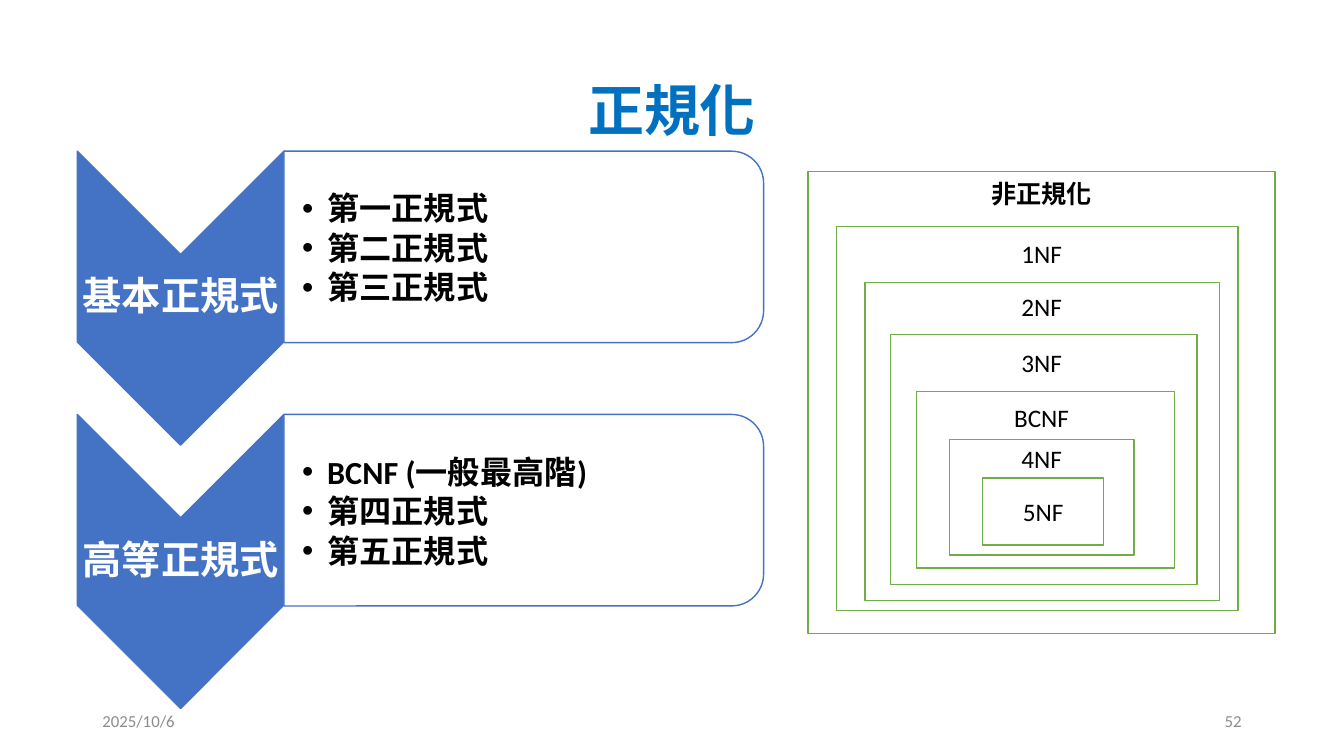
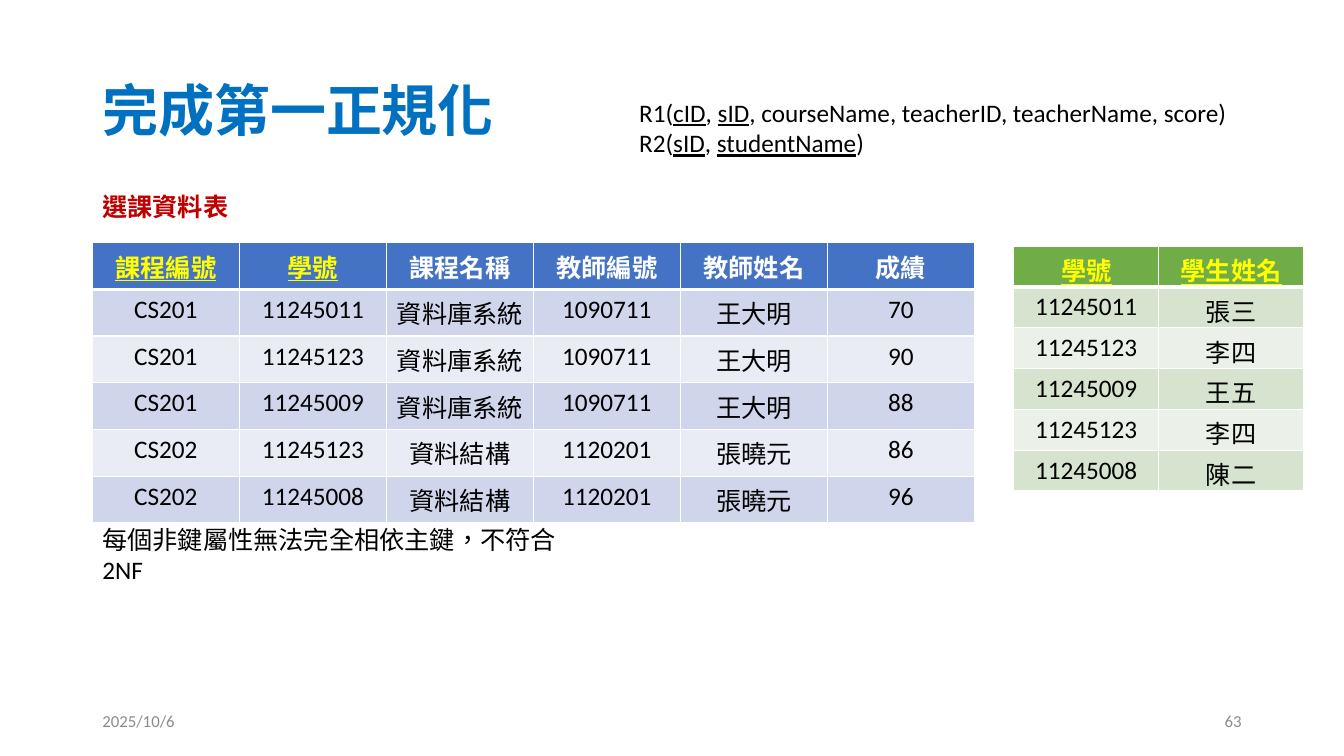
import pptx
import pptx.util
import pptx.dml.color
import pptx.enum.shapes
import pptx.enum.text
import pptx.oxml
import pptx.oxml.ns

# Grid of 80 by 45 square cells over the slide
COLS, ROWS = 80, 45
WIDE, HIGH = pptx.util.Inches(13.333), pptx.util.Inches(7.5)
CELL = HIGH / ROWS
EDGE, SPAN = 5.5, 69

# Shared look
LATIN, ASIAN = "Calibri", "Noto Sans CJK SC"
BLACK, WHITE, GRAY = "000000", "FFFFFF", "8C8C8C"
BLUE, GREEN, RED, YELLOW = "4472C4", "70AD47", "C00000", "FFFF00"
TITLE = "0070C0"
DATE = "2025/10/6"

FORM = pptx.enum.shapes.MSO_SHAPE
LEFT, MID, RIGHT = (pptx.enum.text.PP_ALIGN.LEFT, pptx.enum.text.PP_ALIGN.CENTER,
                    pptx.enum.text.PP_ALIGN.RIGHT)
TOP, CENTER = pptx.enum.text.MSO_ANCHOR.TOP, pptx.enum.text.MSO_ANCHOR.MIDDLE


def grid(*cells):
    return [round(n * CELL) for n in cells]


def paint(part, color):
    """Give a fill, line or font part a solid colour."""
    if hasattr(part, "solid"):
        part.solid()
        part = part.fore_color
    else:
        part = part.color
    part.rgb = pptx.dml.color.RGBColor.from_string(color)


def node(xml):
    tag, rest = xml.split(" ", 1)
    return pptx.oxml.parse_xml(f"<a:{tag} {pptx.oxml.ns.nsdecls('a')} {rest}")


def write(frame, text, size=18, color=BLACK, bold=False, line=False, font=LATIN,
          align=LEFT, space=None, dots=False):
    """Fill a frame, one paragraph a line; _marked_ words are underlined."""
    for row, words in enumerate(text.split("\n")):
        para = frame.add_paragraph() if row else frame.paragraphs[0]
        if dots:
            props = para._p.get_or_add_pPr()
            inset = pptx.util.Inches(0.25)
            props.set("marL", str(inset))
            props.set("indent", str(-inset))
            props.append(node('buFont typeface="Arial"/>'))
            props.append(node('buChar char="•"/>'))
        para.alignment = align
        if space:
            para.line_spacing = space
        for turn, part in enumerate(words.split("_")):
            if not part:
                continue
            run = para.add_run()
            run.text = part
            look = run.font
            look.size, look.bold, look.name = pptx.util.Pt(size), bold, font
            look.underline = line or turn % 2 == 1
            paint(look.fill, color)
            props = run._r.get_or_add_rPr()
            props.set("lang", "zh-TW")
            props.append(node(f'ea typeface="{ASIAN}"/>'))


def label(slide, box, text, anchor=TOP, pad=(0.1, 0.05, 0.1, 0.05), **form):
    frame = slide.shapes.add_textbox(*grid(*box)).text_frame
    frame.word_wrap, frame.vertical_anchor = True, anchor
    (frame.margin_left, frame.margin_top,
     frame.margin_right, frame.margin_bottom) = [pptx.util.Inches(n) for n in pad]
    write(frame, text, **form)


def block(slide, kind, box, fill, edge, turned=False):
    """Draw a shape; a turned one fills the box after a quarter turn."""
    x, y, w, h = box
    if turned:
        x, y, w, h = x + (w - h) / 2, y + (h - w) / 2, h, w
    shape = slide.shapes.add_shape(kind, *grid(x, y, w, h))
    shape.rotation = 90 if turned else 0
    shape.shadow.inherit = False
    paint(shape.fill, fill)
    paint(shape.line, edge)
    shape.line.width = pptx.util.Pt(1)
    return shape


def border(cell, **sides):
    props = cell._tc.get_or_add_tcPr()
    for side in "LRTB":
        width = pptx.util.Pt(sides.get(side, 1))
        props.append(node(f'ln{side} w="{width}"><a:solidFill><a:srgbClr val="{WHITE}"/>'
                          f'</a:solidFill></a:ln{side}>'))


def table(slide, x, y, col, row, data, head, bands, keys, foot=0.05):
    """Banded table whose first `keys` columns are marked as keys."""
    tall, wide = len(data), len(data[0])
    box = grid(x, y, wide * col, tall * row)
    sheet = slide.shapes.add_table(tall, wide, *box).table
    for item in sheet.columns:
        item.width = grid(col)[0]
    for r, line in enumerate(data):
        sheet.rows[r].height = grid(row)[0]
        for c, text in enumerate(line):
            cell, top = sheet.cell(r, c), r == 0
            key = top and c < keys
            border(cell, B=3 if top else 1, T=3 if r == 1 else 1)
            paint(cell.fill, head if top else bands[(r - 1) % 2])
            cell.margin_bottom = pptx.util.Inches(foot)
            color = YELLOW if key else WHITE if top else BLACK
            write(cell.text_frame, text, color=color, bold=top, line=key, align=MID)


def start(deck, title, number, align=LEFT):
    """Add a slide with the shared title and footer."""
    slide = deck.slides.add_slide(deck.slide_layouts[6])
    label(slide, (EDGE, 2.4, SPAN, 8.7), title, CENTER, size=40, color=TITLE,
          bold=True, align=align, space=0.9)
    foot = 18
    for x, text, side in ((EDGE, DATE, LEFT), (EDGE + SPAN - foot, number, RIGHT)):
        label(slide, (x, 41.7, foot, 2.4), text, CENTER, size=12, color=GRAY, align=side)
    return slide


def group(slide, step, name, items):
    """Down arrow with a name, and its list in a rounded panel."""
    x, y, w = 4.6, 9 + 15.67 * step, 12.3
    arrow, panel = (x, y, w, 17.5), (x + w, y, 28.55, 11.4)
    thin = (0.02,) * 4
    block(slide, FORM.CHEVRON, arrow, BLUE, BLUE, turned=True)
    label(slide, arrow, name, CENTER, thin, size=28, color=WHITE, bold=True,
          align=MID, space=0.9)
    block(slide, FORM.ROUND_2_SAME_RECTANGLE, panel, WHITE, BLUE, turned=True)
    label(slide, panel, items, CENTER, (0.18, *thin[1:]), size=23, bold=True,
          space=pptx.util.Pt(28.2), dots=True)


def forms(deck):
    slide = start(deck, "正規化", "52", MID)
    group(slide, 0, "基本正規式", "第一正規式\n第二正規式\n第三正規式")
    group(slide, 1, "高等正規式", "BCNF (一般最高階)\n第四正規式\n第五正規式")

    # Nested forms: name, box, top of the name
    nest = [
        ("非正規化", (48.1, 10.2, 27.8, 27.5), 10.3),
        ("1NF", (49.8, 13.5, 23.9, 22.85), 13.9),
        ("2NF", (51.5, 16.8, 21.1, 18.95), 17.05),
        ("3NF", (53, 19.9, 18.25, 14.9), 20.4),
        ("BCNF", (54.55, 23.3, 15.35, 10.5), 23.65),
        ("4NF", (56.5, 26.15, 11, 6.9), 26.1),
    ]
    for name, box, top in nest:
        block(slide, FORM.RECTANGLE, box, WHITE, GREEN)
        first = box is nest[0][1]
        label(slide, (57.5, top, 9, 2.4), name, bold=first, align=MID,
              font=ASIAN if first else LATIN)
    core = block(slide, FORM.RECTANGLE, (58.5, 28.45, 7.2, 4), WHITE, GREEN)
    write(core.text_frame, "5NF", align=MID)


def first(deck):
    slide = start(deck, "完成第一正規化", "63")
    label(slide, (37.45, 5.5, 38, 4.25),
          "R1(_cID_, _sID_, courseName, teacherID, teacherName, score)\n"
          "R2(_sID_, _studentName_)")
    label(slide, (EDGE, 11.1, 12, 2.4), "選課資料表", color=RED, bold=True)

    # Course and student tables
    data = ("課程編號", "學號", "課程名稱", "教師編號", "教師姓名", "成績")
    base = ("CS201", "資料庫系統", "1090711", "王大明")
    more = ("CS202", "資料結構", "1120201", "張曉元")
    marks = [(base, "11245011", "70"), (base, "11245123", "90"),
             (base, "11245009", "88"), (more, "11245123", "86"),
             (more, "11245008", "96")]
    rows = [(course[0], who, *course[1:], mark) for course, who, mark in marks]
    table(slide, EDGE, 14.45, 8.75, 2.78, [data, *rows], BLUE,
          ("CFD5EA", "E9EBF5"), keys=2)
    names = ("張三", "李四", "王五", "李四", "陳二")
    pairs = [(who, name) for (_, who, _), name in zip(marks, names)]
    table(slide, 60.35, 14.65, 8.62, 2.43, [("學號", "學生姓名"), *pairs], GREEN,
          ("D5E3CF", "EBF1E9"), keys=2, foot=0)

    label(slide, (EDGE, 30.9, 29.5, 4.25), "每個非鍵屬性無法完全相依主鍵，不符合 2NF")


def main():
    deck = pptx.Presentation()
    deck.slide_width, deck.slide_height = WIDE, HIGH
    forms(deck)
    first(deck)
    deck.save("out.pptx")


if __name__ == "__main__":
    main()
